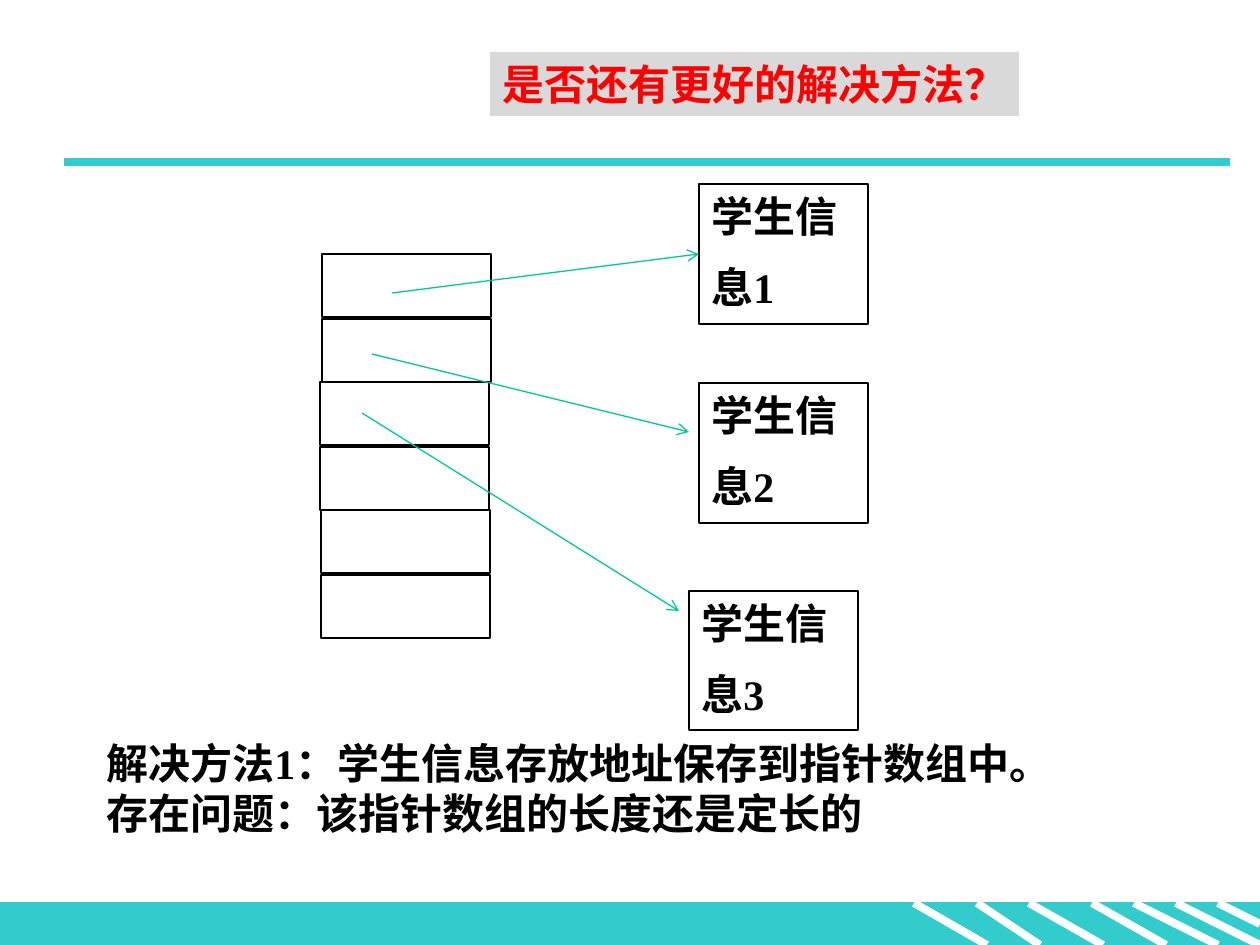
from typing import NamedTuple, Optional

from lxml import etree
from pptx import Presentation
from pptx.dml.color import RGBColor
from pptx.enum.shapes import MSO_CONNECTOR, MSO_SHAPE
from pptx.enum.text import MSO_ANCHOR, PP_ALIGN
from pptx.oxml.ns import qn
from pptx.util import Emu, Pt

STRAIGHT = MSO_CONNECTOR.STRAIGHT
RECTANGLE = MSO_SHAPE.RECTANGLE
TOP = MSO_ANCHOR.TOP
LEFT = PP_ALIGN.LEFT

TEAL = RGBColor(0x33, 0xCC, 0xCC)
GREEN = RGBColor(0x00, 0xC8, 0x96)
GRAY = RGBColor(0xD9, 0xD9, 0xD9)
RED = RGBColor(0xFF, 0x00, 0x00)
BLACK = RGBColor(0x00, 0x00, 0x00)
WHITE = RGBColor(0xFF, 0xFF, 0xFF)

PX_PER_INCH = 126
THIN, THICK = 0.75, 4.5
SERIF, SANS = "Times New Roman", "Arial"


class Box(NamedTuple):
    left: int
    top: int
    width: int
    height: int


class Segment(NamedTuple):
    x1: int
    y1: int
    x2: int
    y2: int


def px(value: int) -> Emu:
    return Emu(round(value * 914400 / PX_PER_INCH))


def add_rectangle(page, box: Box, fill: Optional[RGBColor] = None,
                  line: Optional[RGBColor] = None):
    shape = page.shapes.add_shape(RECTANGLE, *map(px, box))
    shape.shadow.inherit = False
    if fill is None:
        shape.fill.background()
    else:
        shape.fill.solid()
        shape.fill.fore_color.rgb = fill
    if line is None:
        shape.line.fill.background()
    else:
        shape.line.color.rgb = line
        shape.line.width = Pt(THIN)
    return shape


def add_line(page, segment: Segment, color: RGBColor, width: float,
             arrow: bool = False) -> None:
    line = page.shapes.add_connector(STRAIGHT, *map(px, segment))
    line.line.color.rgb = color
    line.line.width = Pt(width)
    if arrow:
        etree.SubElement(line.line._get_or_add_ln(), qn("a:tailEnd"), type="arrow")
    etree.SubElement(line._element.spPr, qn("a:effectLst"))


def write_text(shape, text: str, font: str = SERIF, color: RGBColor = BLACK,
               gap: int = 0) -> None:
    frame = shape.text_frame
    frame.word_wrap = True
    frame.vertical_anchor = TOP
    frame.text = text
    for index, para in enumerate(frame.paragraphs):
        para.alignment = LEFT
        if index:
            para.space_before = Pt(gap)
        for span in para.runs:
            span.font.name = font
            span.font.size = Pt(24)
            span.font.bold = True
            span.font.color.rgb = color


FOOTER_TOP, FOOTER_BOTTOM = 903, 945
STRIPES = [
    Segment(start, FOOTER_TOP, end, bottom)
    for start, end, bottom in [
        (914, 987, FOOTER_BOTTOM), (977, 1040, FOOTER_BOTTOM),
        (1029, 1103, FOOTER_BOTTOM), (1092, 1166, FOOTER_BOTTOM),
        (1134, 1218, FOOTER_BOTTOM), (1176, 1260, FOOTER_BOTTOM),
        (1218, 1260, 924),
    ]
]
RECORDS = [Box(699, 184, 169, 140), Box(699, 383, 169, 140), Box(689, 591, 169, 139)]
PAIR_LEFTS = [322, 320, 321]
ARRAY_TOP, PAIR_PITCH, CELL_PITCH = 254, 128, 65
POINTERS = [
    Segment(392, 293, 699, 254),
    Segment(372, 354, 689, 432),
    Segment(362, 413, 679, 611),
]


def main() -> None:
    deck = Presentation()
    deck.slide_width, deck.slide_height = px(1260), px(945)
    page = deck.slides.add_slide(deck.slide_layouts[6])

    # Footer band and header rule
    add_rectangle(page, Box(0, FOOTER_TOP, 1260, 42), TEAL, TEAL)
    for stripe in STRIPES:
        add_line(page, stripe, WHITE, THICK)
    add_line(page, Segment(64, 162, 1230, 162), TEAL, THICK)

    # Student records
    for number, box in enumerate(RECORDS, start=1):
        record = add_rectangle(page, box, line=BLACK)
        write_text(record, f"学生信\n息{number}", gap=12)

    # Pointer array, cells stacked in pairs
    for pair, left in enumerate(PAIR_LEFTS):
        for cell in range(2):
            top = ARRAY_TOP + pair * PAIR_PITCH + cell * CELL_PITCH
            add_rectangle(page, Box(left, top, 169, 63), line=BLACK)
    for pointer in POINTERS:
        add_line(page, pointer, GREEN, THIN, arrow=True)

    # Explanation and title
    note = page.shapes.add_textbox(*map(px, Box(94, 731, 1066, 113)))
    write_text(note, "解决方法1：学生信息存放地址保存到指针数组中。\n"
                     "存在问题：该指针数组的长度还是定长的")
    title = add_rectangle(page, Box(490, 52, 529, 64), GRAY)
    write_text(title, "是否还有更好的解决方法？", SANS, RED)

    deck.save("out.pptx")


if __name__ == "__main__":
    main()
